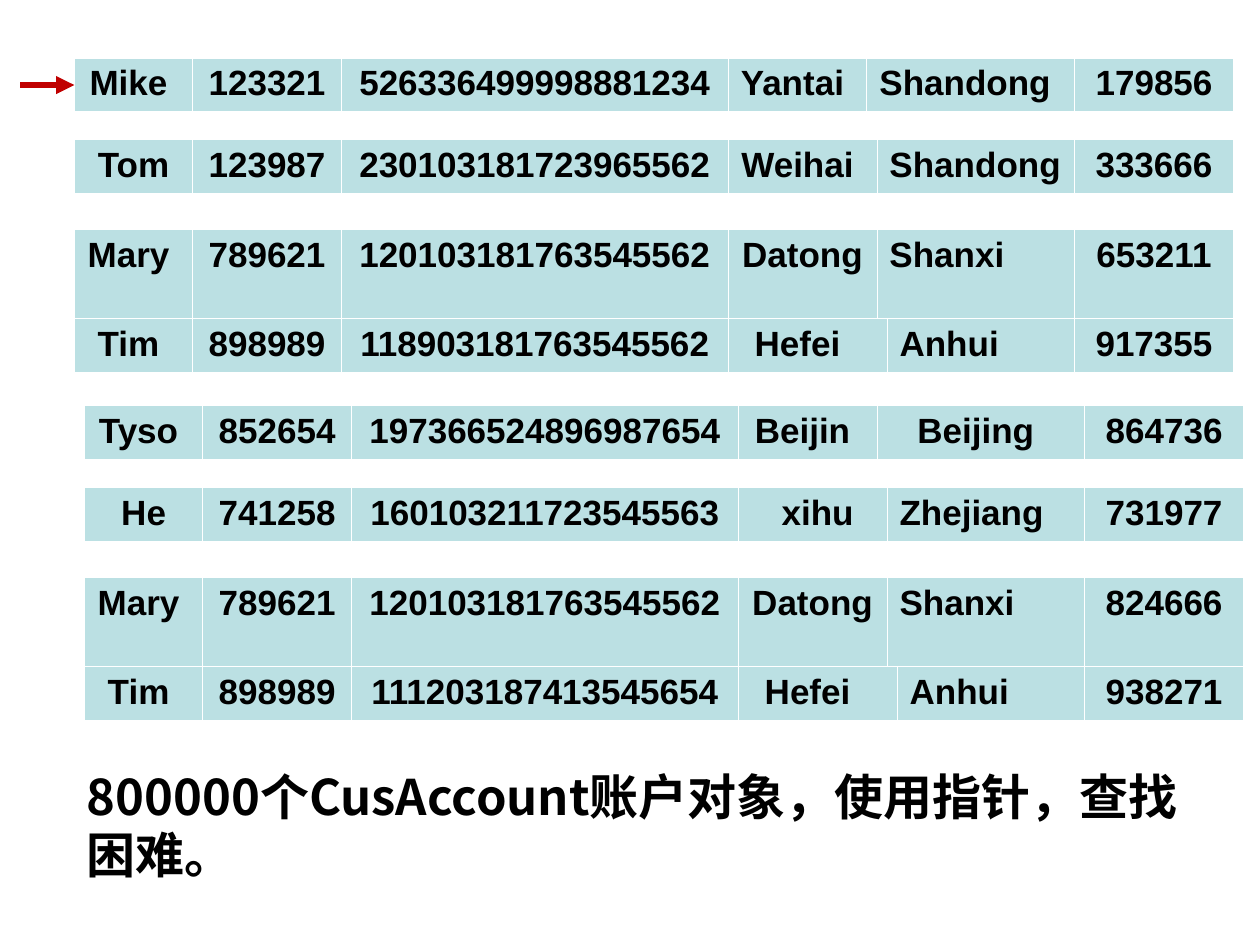
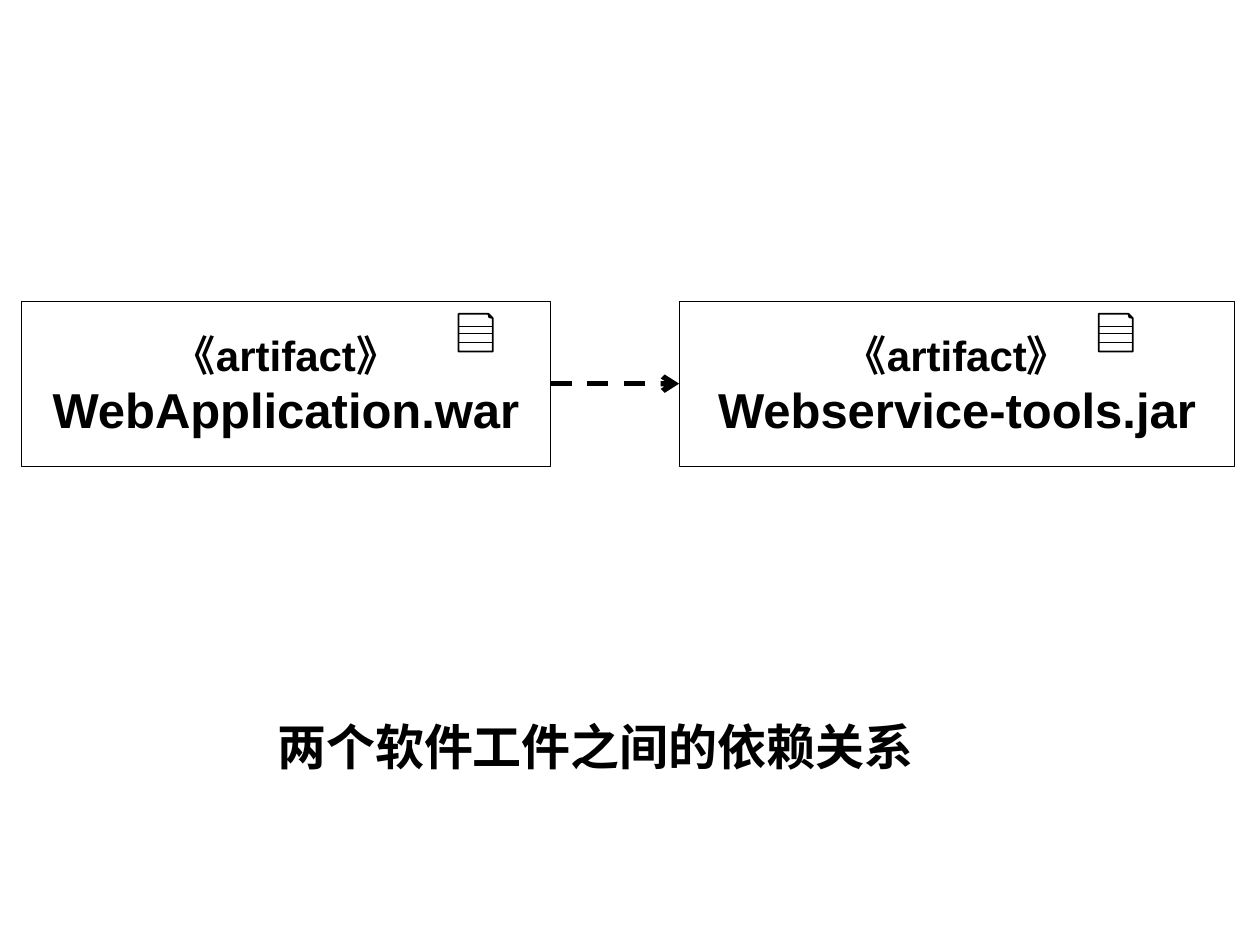
from dataclasses import dataclass

from lxml.etree import SubElement
from pptx import Presentation
from pptx.dml.color import RGBColor as RGB
from pptx.enum.dml import MSO_LINE as Dash
from pptx.enum.shapes import MSO_CONNECTOR as Connector, MSO_SHAPE as Shape
from pptx.enum.text import MSO_ANCHOR as Anchor, MSO_AUTO_SIZE as AutoSize, PP_ALIGN as Align
from pptx.oxml.ns import qn
from pptx.util import Inches, Pt


@dataclass(frozen=True)
class Theme:
    ink: str = "000000"
    paper: str = "FFFFFF"
    cell: str = "BBE0E3"
    pointer: str = "C00000"
    latin: str = "Arial"
    asian: str = "Noto Sans CJK SC"
    record_size: int = 20
    stereotype_size: int = 24
    large_size: int = 28


THEME = Theme()
TITLE_ONLY = 5

# Slide 1: fields, then how far name, city and province sit left of centre (in spaces).
ACCOUNTS = [
    (("Mike", "123321", "526336499998881234", "Yantai", "Shandong", "179856"), (1, 1, 0)),
    (("Tom", "123987", "230103181723965562", "Weihai", "Shandong", "333666"), (0, 1, 0)),
    (("Mary", "789621", "120103181763545562", "Datong", "Shanxi", "653211"), (1, 0, 0)),
    (("Tim", "898989", "118903181763545562", "Hefei", "Anhui", "917355"), (1, 2, 0)),
    (("Tyso", "852654", "197366524896987654", "Beijin", "Beijing", "864736"), (1, 1, 1)),
    (("He", "741258", "160103211723545563", "xihu", "Zhejiang", "731977"), (0, -1, 0)),
    (("Mary", "789621", "120103181763545562", "Datong", "Shanxi", "824666"), (1, 0, 0)),
    (("Tim", "898989", "111203187413545654", "Hefei", "Anhui", "938271"), (1, 2, 0)),
]
ACCOUNT_CAPTION = "800000个CusAccount账户对象，使用指针，查找困难。"

# One block of four records; the second block repeats it, shifted.
BLOCK_ORIGIN, BLOCK_SHIFT = (0.59, 0.46), (0.08, 2.76)
BLOCK_TOPS = (0, 0.65, 1.36, 2.07)
BLOCK_HEIGHTS = (0.43, 0.43, 0.77, 0.43)
CITY_WIDTHS = (1.1, 1.18, 1.18, 1.26)
CITY_AND_PROVINCE = 2.75
TABLE_WIDTH = 9.2
CELL_MARGIN, SPACE_WIDTH = 0.1, 0.08
CITY, PROVINCE = 3, 4

# Slide 2: artifact name, left, width and left of its document icon.
ARTIFACTS = [
    ("WebApplication.war", 0.17, 4.2, 3.64),
    ("Webservice-tools.jar", 5.39, 4.41, 8.72),
]
STEREOTYPE = "《artifact》"
ARTIFACT_CAPTION = "两个软件工件之间的依赖关系"
CARD_TOP, CARD_HEIGHT = 2.39, 1.31
ICON_TOP, ICON_WIDTH, ICON_HEIGHT = 2.49, 0.27, 0.3
ICON_RULES = (0.34, 0.53, 0.77)


def apply(target, **values):
    for name, value in values.items():
        setattr(target, name, value)


def write(para, text, size, latin=THEME.latin, align=Align.CENTER):
    para.alignment = align
    span = para.add_run()
    span.text = text
    apply(span.font, name=latin, size=Pt(size), bold=True)
    span.font.color.rgb = RGB.from_string(THEME.ink)
    SubElement(span.font._element, qn("a:ea"), typeface=THEME.asian)


def add_captioned_slide(deck, text, area, align):
    slide = deck.slides.add_slide(deck.slide_layouts[TITLE_ONLY])
    caption = slide.shapes.title
    left, top, width, height = map(Inches, area)
    apply(caption, left=left, top=top, width=width, height=height)
    apply(caption.text_frame, word_wrap=True, auto_size=AutoSize.NONE,
          vertical_anchor=Anchor.TOP)
    write(caption.text_frame.paragraphs[0], text, THEME.large_size, THEME.asian, align)
    return slide


def add_line(shapes, start, end, color, width, head=None, dash=None):
    line = shapes.add_connector(Connector.STRAIGHT, *map(Inches, (*start, *end)))
    line.line.color.rgb = RGB.from_string(color)
    line.line.width = Pt(width)
    if dash:
        line.line.dash_style = dash
    if head:
        SubElement(line.line._get_or_add_ln(), qn("a:tailEnd"), type=head)
    SubElement(line._element.spPr, qn("a:effectLst"))
    return line


def add_outlined(shapes, kind, area, line_width):
    shape = shapes.add_shape(kind, *map(Inches, area))
    shape.shadow.inherit = False
    shape.fill.solid()
    shape.fill.fore_color.rgb = RGB.from_string(THEME.paper)
    shape.line.color.rgb = RGB.from_string(THEME.ink)
    shape.line.width = Pt(line_width)
    return shape


def add_borders(cell):
    """Draw thin cell edges; call before the fill, which must follow them in the XML."""
    properties = cell._tc.get_or_add_tcPr()
    for side, width in (("L", 0.45), ("R", 0.45), ("T", 0.45), ("B", 1.47)):
        edge = SubElement(properties, qn(f"a:ln{side}"), w=str(Pt(width)))
        SubElement(SubElement(edge, qn("a:solidFill")), qn("a:srgbClr"), val=THEME.paper)


def add_record(slide, index, fields, nudges):
    block, place = divmod(index, len(BLOCK_TOPS))
    left = BLOCK_ORIGIN[0] + block * BLOCK_SHIFT[0]
    top = BLOCK_ORIGIN[1] + block * BLOCK_SHIFT[1] + BLOCK_TOPS[place]
    city = CITY_WIDTHS[place]
    widths = (0.94, 1.18, 3.07, city, CITY_AND_PROVINCE - city, 1.26)
    frame = slide.shapes.add_table(1, len(fields), *map(
        Inches, (left, top, TABLE_WIDTH, BLOCK_HEIGHTS[place])))
    table = frame.table
    apply(table, first_row=False, horz_banding=False)
    shifts = dict(zip((0, CITY, PROVINCE), nudges))
    for column, (text, width) in enumerate(zip(fields, widths)):
        table.columns[column].width = Inches(width)
        cell = table.cell(0, column)
        shift = shifts.get(column, 0)
        apply(cell,
              margin_left=Inches(CELL_MARGIN + SPACE_WIDTH * max(-shift, 0)),
              margin_right=Inches(CELL_MARGIN + SPACE_WIDTH * max(shift, 0)))
        add_borders(cell)
        cell.fill.solid()
        cell.fill.fore_color.rgb = RGB.from_string(THEME.cell)
        flush_left = column == PROVINCE and not shift
        write(cell.text_frame.paragraphs[0], text, THEME.record_size,
              align=Align.LEFT if flush_left else Align.CENTER)


def add_document_icon(shapes, left):
    # The sheet is turned a quarter so its fold lands at the top right.
    offset = (ICON_HEIGHT - ICON_WIDTH) / 2
    sheet = add_outlined(shapes, Shape.FOLDED_CORNER,
                         (left - offset, ICON_TOP + offset, ICON_HEIGHT, ICON_WIDTH), 1)
    sheet.rotation = 270
    fold = sheet._element.spPr.find(qn("a:prstGeom")).find(qn("a:avLst"))
    SubElement(fold, qn("a:gd"), name="adj", fmla="val 12500")
    for share in ICON_RULES:
        y = ICON_TOP + share * ICON_HEIGHT
        add_line(shapes, (left, y), (left + ICON_WIDTH, y), THEME.ink, 0.75)


def add_artifact(slide, name, left, width, icon_left):
    shapes = slide.shapes.add_group_shape().shapes
    card = add_outlined(shapes, Shape.RECTANGLE, (left, CARD_TOP, width, CARD_HEIGHT), 0.75)
    frame = card.text_frame
    apply(frame, word_wrap=True, vertical_anchor=Anchor.MIDDLE,
          **{f"margin_{side}": Inches(0.07) for side in ("left", "top", "right", "bottom")})
    write(frame.paragraphs[0], STEREOTYPE, THEME.stereotype_size)
    write(frame.add_paragraph(), name, THEME.large_size)
    add_document_icon(shapes, icon_left)
    return card


def build_accounts(deck):
    left, top = BLOCK_ORIGIN
    slide = add_captioned_slide(deck, ACCOUNT_CAPTION, (left, 6.03, TABLE_WIDTH, 1.04), Align.LEFT)
    for index, (fields, nudges) in enumerate(ACCOUNTS):
        add_record(slide, index, fields, nudges)
    middle = top + BLOCK_HEIGHTS[0] / 2
    add_line(slide.shapes, (0.16, middle), (left, middle), THEME.pointer, 3.5, "triangle")


def build_artifacts(deck):
    slide = add_captioned_slide(deck, ARTIFACT_CAPTION, (1.53, 5.64, 6.39, 0.63), Align.CENTER)
    user, tools = [add_artifact(slide, *artifact) for artifact in ARTIFACTS]
    middle = CARD_TOP + CARD_HEIGHT / 2
    (_, left, width, _), (_, target, _, _) = ARTIFACTS
    arrow = add_line(slide.shapes, (left + width, middle), (target, middle),
                     THEME.ink, 3, "arrow", Dash.DASH)
    arrow.begin_connect(user, 3)
    arrow.end_connect(tools, 1)


def main():
    deck = Presentation()
    apply(deck, slide_width=Inches(10), slide_height=Inches(7.5))
    build_accounts(deck)
    build_artifacts(deck)
    deck.save("out.pptx")


if __name__ == "__main__":
    main()
